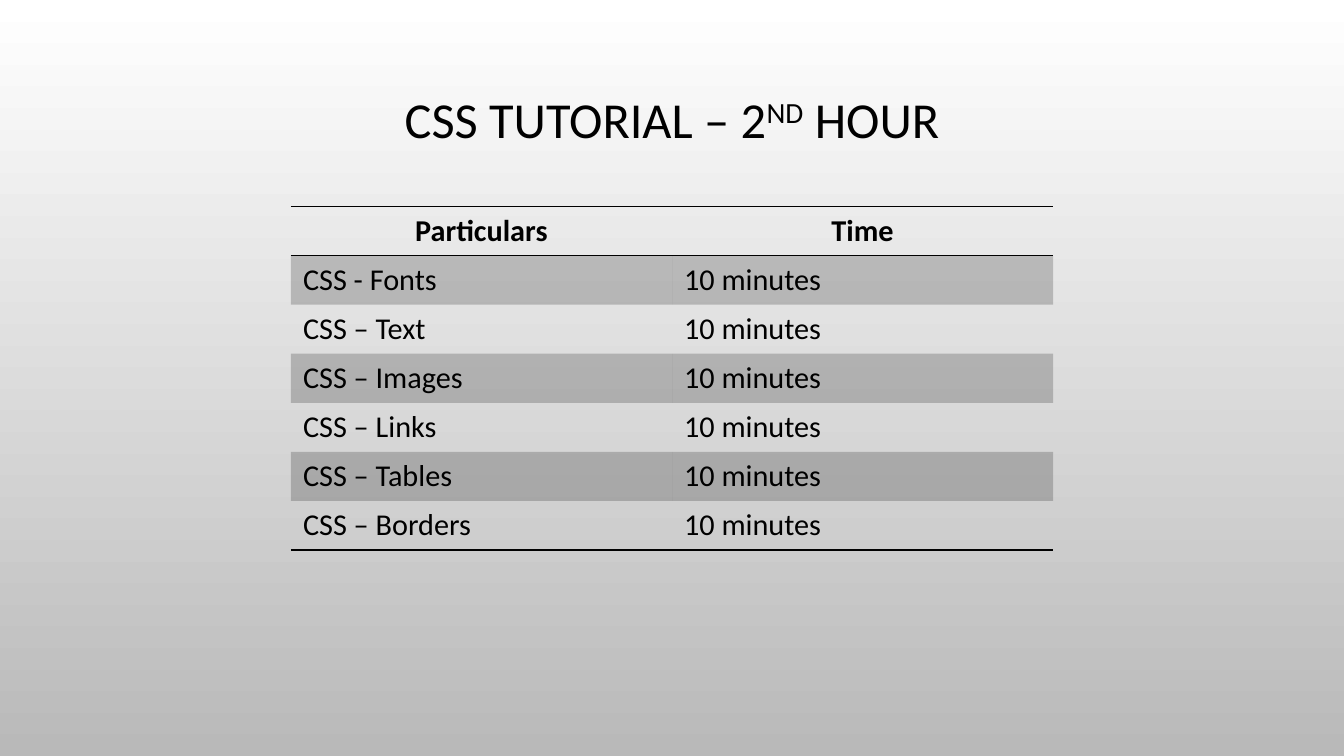
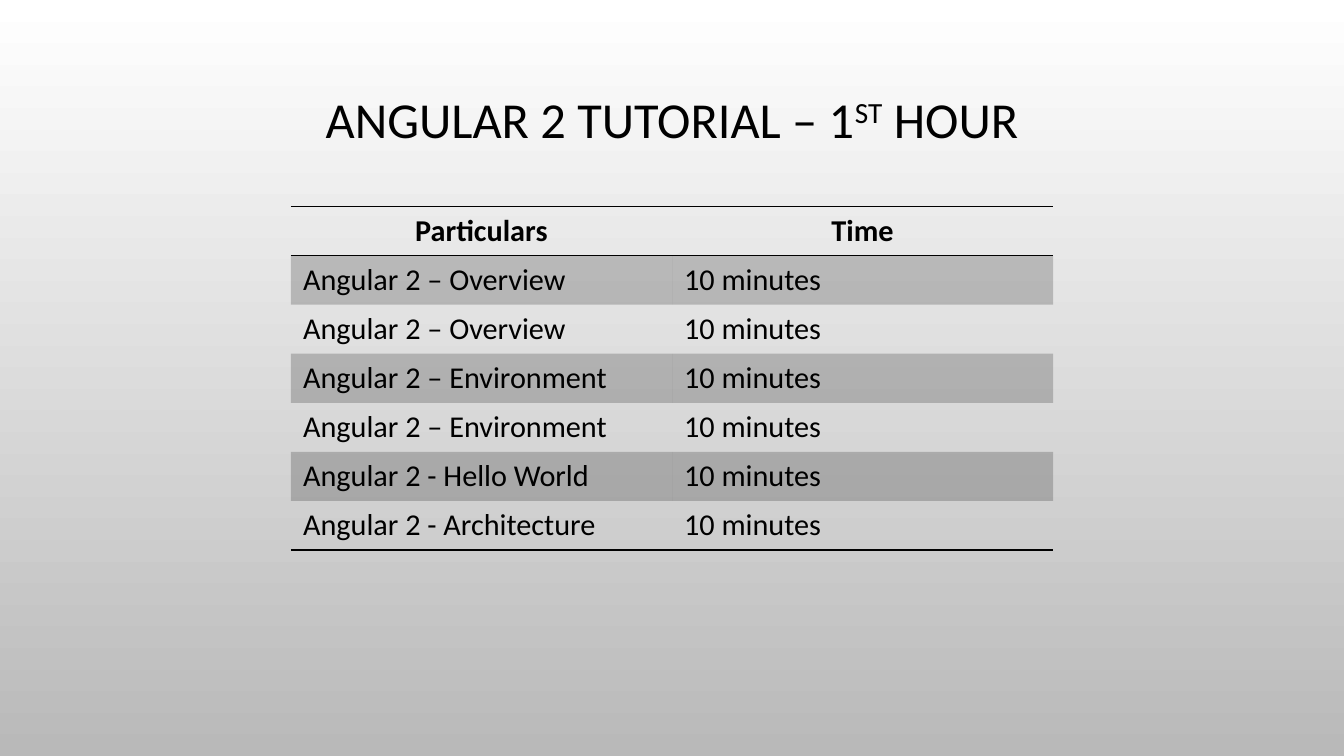
from lxml.etree import SubElement
from pptx import Presentation
from pptx.dml.color import RGBColor
from pptx.enum.text import MSO_ANCHOR as Anchor, MSO_AUTO_SIZE as AutoSize, PP_ALIGN as Align
from pptx.oxml.ns import qn
from pptx.util import Cm, Pt

# Content
HEADER = ("Particulars", "Time")
DURATION = "10 minutes"
LESSONS = [
    {
        "title": ("CSS TUTORIAL – 2", "ND", " HOUR"),
        "topics": ["CSS - Fonts", "CSS – Text", "CSS – Images",
                   "CSS – Links", "CSS – Tables", "CSS – Borders"],
    },
    {
        "title": ("ANGULAR 2 TUTORIAL – 1", "ST", " HOUR"),
        "topics": ["Angular 2 – Overview", "Angular 2 – Overview",
                   "Angular 2 – Environment", "Angular 2 – Environment",
                   "Angular 2 - Hello World", "Angular 2 - Architecture"],
    },
]

# Shared style
COLORS = {"ink": "000000", "sky": "FFFFFF", "ground": "B9B9B9"}
INK = RGBColor.from_string(COLORS["ink"])
TITLE_FONT = {"name": "Calibri", "size": Pt(30), "bold": False}
HEADER_FONT = {"name": "Calibri", "size": Pt(18), "bold": True}
BODY_FONT = {**HEADER_FONT, "bold": False}
PLAIN_TABLE = "{2D5ABB26-0587-4C30-8999-92F81FD0307C}"
BAND_ALPHA = 20

# Layout
PAGE_W, PAGE_H = Cm(28.22), Cm(15.88)
TITLE_TOP, TITLE_W, TITLE_H = Cm(1.41), Cm(24), Cm(2.32)
TABLE_TOP, COLUMN_W, ROW_H = Cm(4.34), Cm(8), Cm(1.03)


def set_attributes(target, values):
    for name, value in values.items():
        setattr(target, name, value)


def format_font(font, values):
    set_attributes(font, values)
    font.color.rgb = INK


def paint_background(master):
    fill = master.background.fill
    fill.gradient()
    fill.gradient_angle = 270
    for stop, position, color in zip(fill.gradient_stops, (0, 1), ("sky", "ground")):
        stop.position = position
        stop.color.rgb = RGBColor.from_string(COLORS[color])


def add_title(page, parts):
    title = page.shapes.title
    set_attributes(title, {"left": (PAGE_W - TITLE_W) // 2, "top": TITLE_TOP,
                           "width": TITLE_W, "height": TITLE_H})
    set_attributes(title.text_frame, {"vertical_anchor": Anchor.MIDDLE,
                                      "word_wrap": True, "auto_size": AutoSize.NONE})
    para = title.text_frame.paragraphs[0]
    set_attributes(para, {"alignment": Align.CENTER, "line_spacing": 0.9})
    for text, baseline in zip(parts, (0, 30000, 0)):
        span = para.add_run()
        span.text = text
        format_font(span.font, TITLE_FONT)
        if baseline:
            span._r.get_or_add_rPr().set("baseline", str(baseline))


def add_border(cell, side):
    line = SubElement(cell._tc.get_or_add_tcPr(), qn(f"a:ln{side}"), w=str(Pt(1)))
    fill = SubElement(line, qn("a:solidFill"))
    SubElement(fill, qn("a:srgbClr"), val=COLORS["ink"])


def fill_cell(cell, banded):
    if not banded:
        cell.fill.background()
        return
    cell.fill.solid()
    cell.fill.fore_color.rgb = INK
    color = cell._tc.tcPr.find(f"{qn('a:solidFill')}/{qn('a:srgbClr')}")
    SubElement(color, qn("a:alpha"), val=str(BAND_ALPHA * 1000))


def add_schedule(page, topics):
    rows = [HEADER] + [(topic, DURATION) for topic in topics]
    width = COLUMN_W * len(HEADER)
    table = page.shapes.add_table(len(rows), len(HEADER), (PAGE_W - width) // 2,
                                  TABLE_TOP, width, ROW_H * len(rows)).table
    table.horz_banding = False
    table._tbl.tblPr.find(qn("a:tableStyleId")).text = PLAIN_TABLE

    for row_index, row in enumerate(rows):
        is_header = row_index == 0
        # Rules above and below the header, and below the last row
        sides = "TB" if is_header else "B" if row_index == len(rows) - 1 else ""
        for column_index, text in enumerate(row):
            cell = table.cell(row_index, column_index)
            cell.text = text
            para = cell.text_frame.paragraphs[0]
            para.alignment = Align.CENTER if is_header else Align.LEFT
            format_font(para.runs[0].font, HEADER_FONT if is_header else BODY_FONT)
            for side in sides:
                add_border(cell, side)
            fill_cell(cell, banded=row_index % 2 == 1)


def main():
    deck = Presentation()
    set_attributes(deck, {"slide_width": PAGE_W, "slide_height": PAGE_H})
    paint_background(deck.slide_master)
    title_only = deck.slide_layouts.get_by_name("Title Only")
    for lesson in LESSONS:
        page = deck.slides.add_slide(title_only)
        add_title(page, lesson["title"])
        add_schedule(page, lesson["topics"])
    deck.save("out.pptx")


if __name__ == "__main__":
    main()
